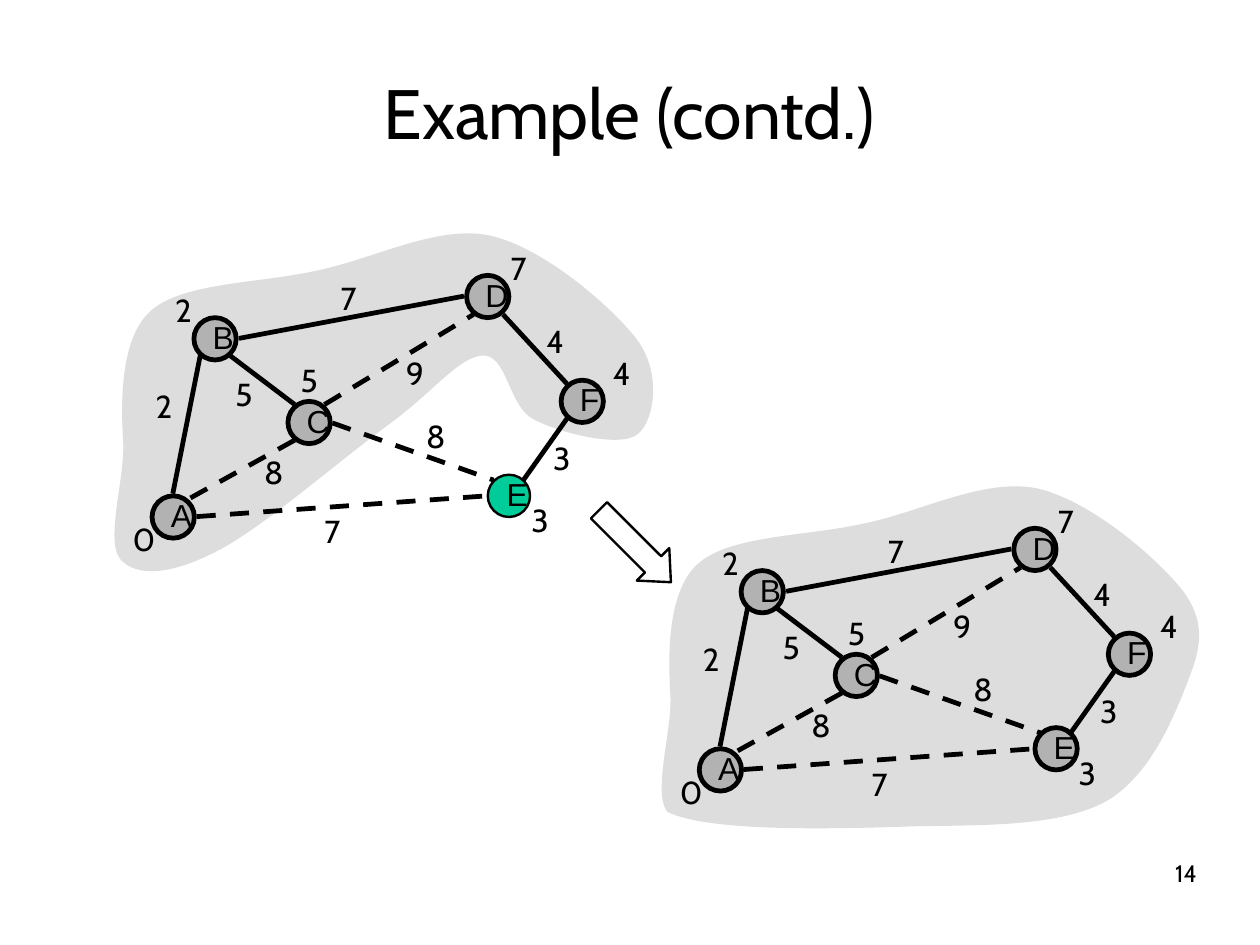
from lxml import etree
from pptx import Presentation
from pptx.dml.color import RGBColor
from pptx.enum.dml import MSO_LINE
from pptx.enum.shapes import MSO_CONNECTOR, MSO_SHAPE
from pptx.enum.text import MSO_ANCHOR, MSO_AUTO_SIZE, PP_ALIGN
from pptx.oxml.ns import qn
from pptx.util import Cm, Pt

STRAIGHT = MSO_CONNECTOR.STRAIGHT
ELLIPSE = MSO_SHAPE.OVAL
ARROW = MSO_SHAPE.RIGHT_ARROW
DASH = MSO_LINE.DASH
MIDDLE, TOP = MSO_ANCHOR.MIDDLE, MSO_ANCHOR.TOP
LEFT, CENTER, RIGHT = PP_ALIGN.LEFT, PP_ALIGN.CENTER, PP_ALIGN.RIGHT
GROW = MSO_AUTO_SIZE.SHAPE_TO_FIT_TEXT

COLORS = {
    "ink": "000000",
    "cloud": "DDDDDD",
    "visited": "B2B2B2",
    "current": "00CC99",
}

NODE_SIZE = 0.94

NODES = {
    "B": (4.31, 7.06),
    "D": (10.37, 6.12),
    "C": (6.4, 8.92),
    "A": (3.38, 11.02),
    "F": (12.47, 8.45),
    "E": (10.84, 10.55),
}
TREE_EDGES = [
    (5.11, 7.9, 6.55, 8.99),
    (4.45, 7.9, 3.84, 10.97),
    (5.31, 7.52, 10.31, 6.58),
    (12.6, 8.53, 11.18, 6.99),
    (11.63, 10.67, 12.6, 9.3),
]
OTHER_EDGES = [
    (6.55, 9.78, 4.17, 11.1),
    (7.39, 9.4, 10.97, 10.67),
    (4.37, 11.48, 10.8, 11.02),
    (7.21, 8.99, 10.52, 6.99),
]
EDGE_WEIGHTS = [
    ("7", 7.29, 6.12), ("4", 11.86, 7.08), ("2", 3.18, 8.53),
    ("8", 9.19, 9.19), ("5", 4.95, 8.26), ("7", 6.93, 11.29),
    ("3", 12.01, 9.68), ("9", 8.74, 7.79), ("8", 5.59, 9.98),
]
NODE_DISTANCES = [
    ("0", 2.67, 11.48), ("3", 11.53, 11.06), ("2", 3.61, 6.39),
    ("5", 6.4, 7.95), ("4", 13.34, 7.79), ("7", 11.07, 5.46),
]

CLOUD_START = (2.74, 9.86)
CLOUD_LEFT = [
    (2.77, 10.64), (2.34, 12.01), (2.67, 12.42),
]
CLOUD_WITHOUT_E = [
    (3.02, 12.83), (3.78, 12.78), (4.78, 12.27),
    (5.77, 11.79), (7.67, 10.13), (8.66, 9.42),
    (9.65, 8.69), (10.21, 7.92), (10.74, 7.9),
    (11.28, 7.9), (11.3, 9.04), (11.86, 9.32),
    (12.45, 9.63), (13.79, 9.96), (14.17, 9.65),
    (14.55, 9.35), (14.71, 8.28), (14.15, 7.54),
]
CLOUD_WITH_E = [
    (3.62, 12.9), (6.67, 12.79), (8.29, 12.74),
    (9.92, 12.72), (11.39, 12.72), (12.38, 12.21),
    (13.35, 11.68), (13.88, 10.43), (14.19, 9.64),
    (14.49, 8.88), (14.69, 8.3), (14.15, 7.54),
]
CLOUD_TOP = [
    (13.59, 6.81), (12.07, 5.49), (10.87, 5.23),
    (9.68, 5), (8.28, 5.77), (7.01, 6.02),
    (5.77, 6.3), (4.06, 6.27), (3.35, 6.91),
    (2.64, 7.54), (2.69, 9.07), CLOUD_START,
]

GRAPHS = [
    (0, 0, CLOUD_WITHOUT_E, "E"),
    (12.16, 5.62, CLOUD_WITH_E, None),
]

deck = Presentation()
deck.slide_width, deck.slide_height = Cm(28), Cm(21)
page = deck.slides.add_slide(deck.slide_layouts[6])


def color(name):
    return RGBColor.from_string(COLORS[name])


def write(box, text, size, font="Cabin", align=LEFT, anchor=TOP, inset=(0.28, 0.15), wrap=False, spacing=0.93):
    frame = box.text_frame
    frame.word_wrap = wrap
    frame.vertical_anchor = anchor
    frame.margin_left = frame.margin_right = Cm(inset[0])
    frame.margin_top = frame.margin_bottom = Cm(inset[1])
    para = frame.paragraphs[0]
    para.text = text
    para.alignment = align
    para.line_spacing = spacing
    para.font.size = Pt(size)
    para.font.name = font
    para.font.color.rgb = color("ink")


number = page.shapes.add_textbox(Cm(20.07), Cm(19.13), Cm(6.53), Cm(1.45))
write(number, "14", 15, align=RIGHT, inset=(0, 0), wrap=True, spacing=0.95)
title = page.shapes.add_textbox(Cm(1.39), Cm(0.84), Cm(25.2), Cm(3.5))
write(title, "Example (contd.)", 44, align=CENTER, anchor=MIDDLE, inset=(0, 0), wrap=True)

for dx, dy, cloud_middle, current in GRAPHS:
    controls = [(Cm(x + dx), Cm(y + dy)) for x, y in CLOUD_LEFT + cloud_middle + CLOUD_TOP]
    builder = page.shapes.build_freeform(*controls[-1])
    builder.add_line_segments(controls, close=True)
    cloud = builder.convert_to_shape()
    cloud.shadow.inherit = False
    cloud.fill.solid()
    cloud.fill.fore_color.rgb = color("cloud")
    cloud.line.fill.background()
    contour = cloud._element.find(".//" + qn("a:path"))
    segments = contour.findall(qn("a:lnTo"))
    for first in range(0, len(segments), 3):
        curve = etree.Element(qn("a:cubicBezTo"))
        segments[first].addprevious(curve)
        for segment in segments[first:first + 3]:
            curve.append(segment[0])
            contour.remove(segment)

    for name, (x, y) in NODES.items():
        node = page.shapes.add_shape(ELLIPSE, Cm(x + dx), Cm(y + dy), Cm(NODE_SIZE), Cm(NODE_SIZE))
        node.shadow.inherit = False
        node.fill.solid()
        node.fill.fore_color.rgb = color("current" if name == current else "visited")
        node.line.color.rgb = color("ink")
        node.line.width = Pt(1.5 if name == current else 3)
        write(node, name, 20, font="Arial", anchor=MIDDLE)

    for x1, y1, x2, y2 in TREE_EDGES + OTHER_EDGES:
        edge = page.shapes.add_connector(STRAIGHT, Cm(x1 + dx), Cm(y1 + dy), Cm(x2 + dx), Cm(y2 + dy))
        edge.line.color.rgb = color("ink")
        edge.line.width = Pt(3)
        if (x1, y1, x2, y2) in OTHER_EDGES:
            edge.line.dash_style = DASH
        etree.SubElement(edge._element.spPr, qn("a:effectLst"))

    for text, x, y in EDGE_WEIGHTS + NODE_DISTANCES:
        label = page.shapes.add_textbox(Cm(x + dx), Cm(y + dy), Cm(0.97), Cm(1.07))
        write(label, text, 20)
        label.text_frame.auto_size = GROW

arrow = page.shapes.add_shape(ARROW, Cm(12.98), Cm(11.63), Cm(2.26), Cm(1.02))
arrow.adjustments[0] = 0.5
arrow.adjustments[1] = 0.55
arrow.rotation = 45
arrow.shadow.inherit = False
arrow.fill.background()
arrow.line.color.rgb = color("ink")
arrow.line.width = Pt(1.5)

deck.save("out.pptx")
